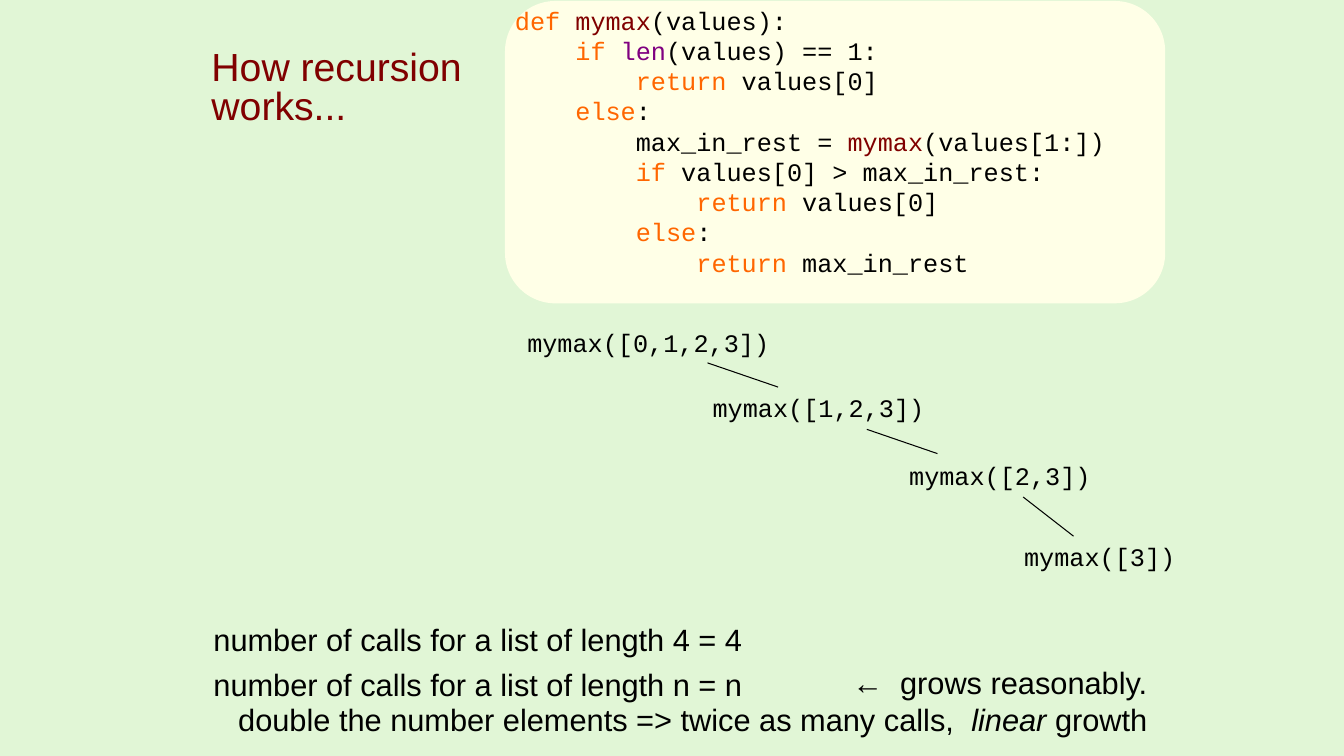
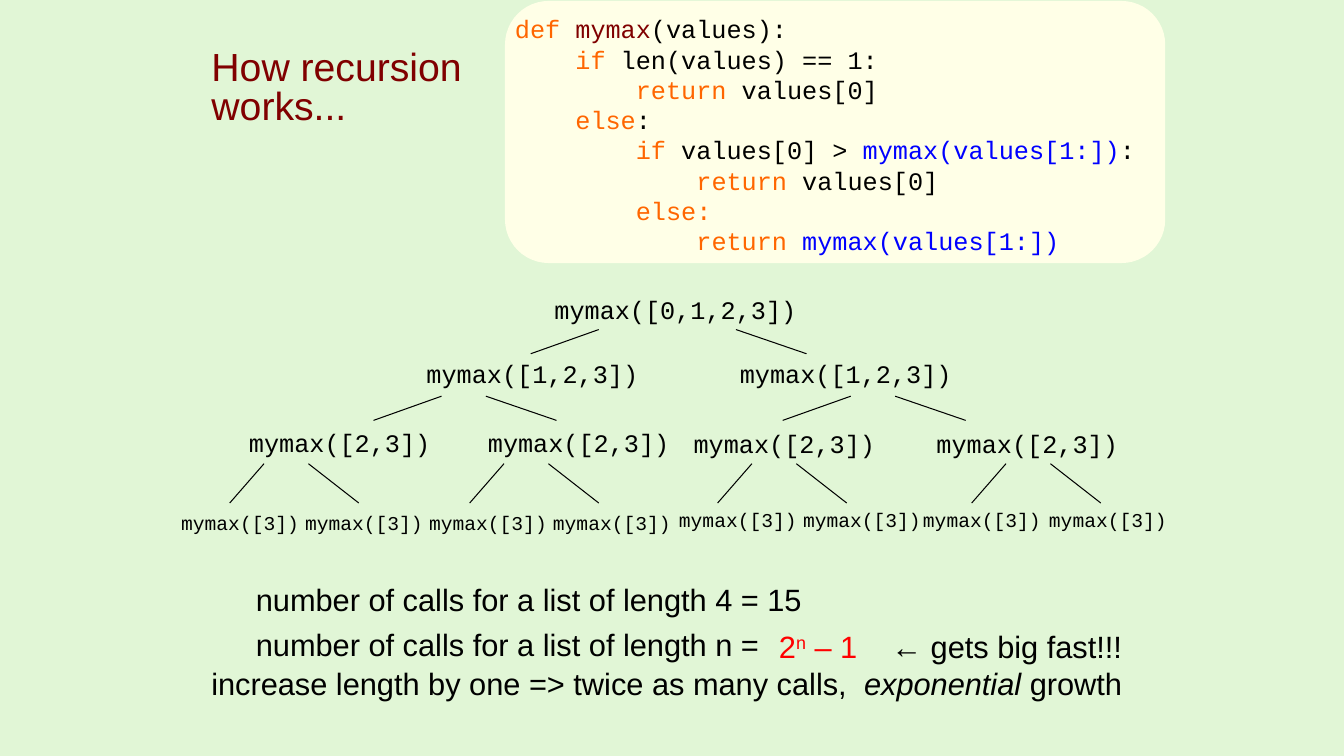
from lxml.etree import SubElement
from pptx import Presentation
from pptx.dml.color import RGBColor
from pptx.enum.shapes import MSO_CONNECTOR, MSO_SHAPE
from pptx.enum.text import PP_ALIGN
from pptx.oxml.ns import qn
from pptx.util import Pt

MINT = RGBColor(0xE1, 0xF6, 0xD6)
CREAM = RGBColor(0xFF, 0xFF, 0xE7)
BLACK = RGBColor(0x00, 0x00, 0x00)
MAROON = RGBColor(0x80, 0x00, 0x00)
ORANGE = RGBColor(0xFF, 0x66, 0x00)
PURPLE = RGBColor(0x80, 0x00, 0x80)
BLUE = RGBColor(0x00, 0x00, 0xFF)
RED = RGBColor(0xFF, 0x00, 0x00)

SANS, MONO = "Arial", "Courier New"
CALL_WIDTH = 226
PANEL_LEFT, PANEL_WIDTH = 360.7, 471.6

# Run formats
KEYWORD = {"color": ORANGE}
NAME = {"color": MAROON}
BUILTIN = {"color": PURPLE}
RECURSIVE = {"color": BLUE}
FORMULA = {"color": RED}
EXPONENT = {"color": RED, "baseline": 30000}
EMPHASIS = {"italic": True}
GAP = {"spacing": 6.1}
WIDE_GAP = {"spacing": 18.3}


def add_text(slide, box, paragraphs, font=SANS, size=22, color=BLACK,
             align=PP_ALIGN.LEFT, indent=0, before=0, line=None):
    """Each paragraph is a list of runs: a string or (string, format)."""
    frame = slide.shapes.add_textbox(*map(Pt, box)).text_frame
    frame.word_wrap = True
    frame.margin_left = Pt(7.2 + indent)
    for number, runs in enumerate(paragraphs):
        paragraph = frame.add_paragraph() if number else frame.paragraphs[0]
        paragraph.alignment = align
        if number and before:
            paragraph.space_before = Pt(before)
        if line:
            paragraph.line_spacing = Pt(line)
        for item in runs:
            text, style = (item, {}) if isinstance(item, str) else item
            run = paragraph.add_run()
            run.text = text
            run.font.name = font
            run.font.size = Pt(size)
            run.font.color.rgb = style.get("color", color)
            if "italic" in style:
                run.font.italic = True
            if "baseline" in style:
                run.font._element.set("baseline", str(style["baseline"]))
            if "spacing" in style:
                run.font._element.set("spc", str(round(style["spacing"] * 100)))


def add_branch(slide, x1, y1, x2, y2):
    branch = slide.shapes.add_connector(
        MSO_CONNECTOR.STRAIGHT, Pt(x1), Pt(y1), Pt(x2), Pt(y2))
    branch.line.color.rgb = BLACK
    branch.line.width = Pt(0.75)
    SubElement(branch._element.spPr, qn("a:effectLst"))


# Linear version: one recursive call
linear = {
    "panel_height": 216, "code_top": 0, "code_width": 478.8,
    "code": [
        [("def ", KEYWORD), ("mymax", NAME), "(values):"],
        ["    ", ("if ", KEYWORD), ("len", BUILTIN), "(values) == 1:"],
        ["        ", ("return ", KEYWORD), "values[0]"],
        ["    ", ("else", KEYWORD), ":"],
        ["        max_in_rest = ", ("mymax", NAME), "(values[1:])"],
        ["        ", ("if", KEYWORD), " values[0] > max_in_rest:"],
        ["            ", ("return ", KEYWORD), "values[0]"],
        ["        ", ("else", KEYWORD), ":"],
        ["            ", ("return ", KEYWORD), "max_in_rest"],
    ],
    # text, size, top, lefts
    "calls": [
        ("mymax([0,1,2,3])", 18, 230.4, [358.6]),
        ("mymax([1,2,3])", 18, 276.5, [491]),
        ("mymax([2,3])", 18, 325.4, [631.4]),
        ("mymax([3])", 18, 383, [713.5]),
    ],
    "branches": [
        (505.4, 259.2, 555.8, 276.5),
        (619.2, 306.7, 669.6, 324),
        (730.8, 355, 766.8, 383),
    ],
    "count_box": (145.4, 439.9, 396.7, 67),
    "counts": [["number of calls for a list of length 4 = 4"],
               ["number of calls for a list of length n = n"]],
    "growth_box": (133.2, 470.9, 693.4, 60.5),
    "growth": [
        ["←", (" ", GAP), "grows reasonably."],
        ["double the number elements => twice as many calls,", (" ", GAP),
         ("linear ", EMPHASIS), "growth"],
    ],
}

# Exponential version: two recursive calls per level
exponential = {
    "panel_height": 187.2, "code_top": 6.3, "code_width": PANEL_WIDTH,
    "code": [
        [("def ", KEYWORD), ("mymax", NAME), "(values):"],
        ["    ", ("if", KEYWORD), " len(values) == 1:"],
        ["        ", ("return", KEYWORD), " values[0]"],
        ["    ", ("else", KEYWORD), ":"],
        ["        ", ("if", KEYWORD), " values[0] > ",
         ("mymax(values[1:])", RECURSIVE), ":"],
        ["            ", ("return", KEYWORD), " values[0]"],
        ["        ", ("else:", KEYWORD)],
        ["            ", ("return ", KEYWORD), ("mymax(values[1:])", RECURSIVE)],
    ],
    "calls": [
        ("mymax([0,1,2,3])", 18, 206.6, [378]),
        ("mymax([1,2,3])", 18, 252.7, [286.6, 510.5]),
        ("mymax([2,3])", 18, 301.7, [159.8, 330.5]),
        ("mymax([2,3])", 18, 302.4, [477.4, 650.9]),
        ("mymax([3])", 14, 361.4, [113.8, 202.3, 290.9, 379.4]),
        ("mymax([3])", 14, 359.3, [469.4, 558, 643.7, 733.7]),
    ],
    "branches": [],
    "count_box": (175.7, 411.1, 409.7, 67),
    "counts": [["number of calls for a list of length 4 = 15"],
               ["number of calls for a list of length n ="]],
    "growth_box": (118.1, 445, 690.5, 87.1),
    "growth": [
        [("2", FORMULA), ("n", EXPONENT), (" – 1", FORMULA), (" ", WIDE_GAP),
         "← gets big fast!!!"],
        ["increase length by one => twice as many calls,", (" ", GAP),
         ("exponential ", EMPHASIS), "growth"],
    ],
}

# Forks: top, height, gap between starts, run to left, run to right, starts
forks = [
    (235.4, 17.3, 98, 48.6, 50.4, [427.7]),
    (283, 17.3, 31.7, 48.6, 50.4, [315.4, 607.7]),
    (331.2, 28.1, 31.7, 24.5, 36, [188.6, 360, 537.1, 718.6]),
]
for top, height, gap, to_left, to_right, starts in forks:
    for start in starts:
        exponential["branches"] += [
            (start, top, start - to_left, top + height),
            (start + gap, top, start + gap + to_right, top + height),
        ]

prs = Presentation()
prs.slide_width, prs.slide_height = Pt(960), Pt(540)
background = prs.slide_master.background.fill
background.solid()
background.fore_color.rgb = MINT

for version in (linear, exponential):
    slide = prs.slides.add_slide(prs.slide_layouts[6])

    # Title
    add_text(slide, (144, 46.1, 324, 55.4), [["How recursion"], ["works..."]],
             size=28, color=MAROON, before=14, line=14)

    # Call tree
    for call, size, top, lefts in version["calls"]:
        for left in lefts:
            add_text(slide, (left, top, CALL_WIDTH, size * 1.6), [[call]],
                     font=MONO, size=size, indent=size * 0.6)
    for ends in version["branches"]:
        add_branch(slide, *ends)

    # Number of calls and growth
    add_text(slide, version["count_box"], version["counts"], before=6)
    add_text(slide, version["growth_box"], version["growth"],
             align=PP_ALIGN.RIGHT)

    # Code panel
    panel = slide.shapes.add_shape(
        MSO_SHAPE.ROUNDED_RECTANGLE, Pt(PANEL_LEFT), Pt(0.7),
        Pt(PANEL_WIDTH), Pt(version["panel_height"]))
    panel.shadow.inherit = False
    panel.fill.solid()
    panel.fill.fore_color.rgb = CREAM
    panel.line.fill.background()
    add_text(slide, (PANEL_LEFT, version["code_top"], version["code_width"],
                     len(version["code"]) * 21.6 + 7.2),
             version["code"], font=MONO, size=18)

prs.save("out.pptx")
